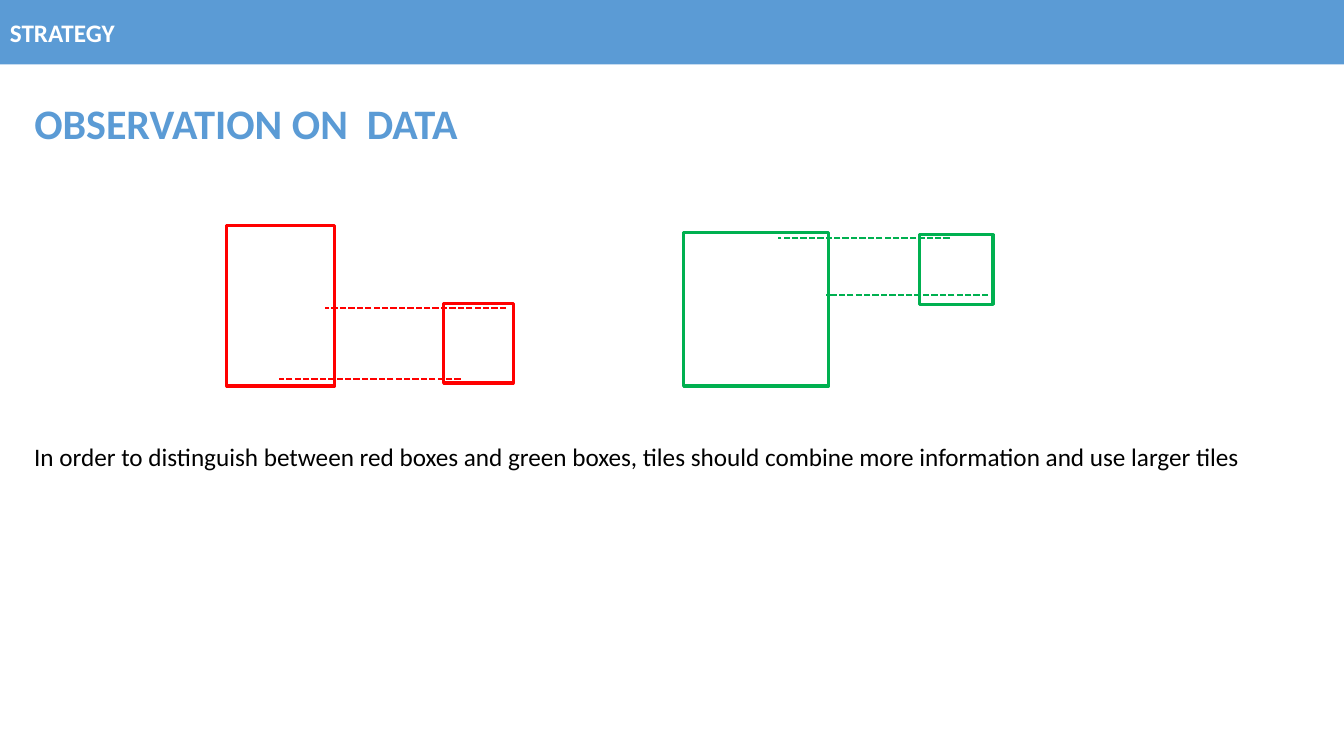
from dataclasses import dataclass

from lxml.etree import SubElement
from pptx import Presentation
from pptx.dml.color import RGBColor
from pptx.enum.dml import MSO_LINE
from pptx.enum.shapes import MSO_CONNECTOR, MSO_SHAPE
from pptx.enum.text import MSO_ANCHOR, MSO_AUTO_SIZE, PP_ALIGN
from pptx.oxml.ns import qn
from pptx.util import Emu, Pt

PX = 9144


@dataclass(frozen=True)
class Theme:
    font: str = "Calibri"
    blue: str = "5B9BD5"
    white: str = "FFFFFF"
    black: str = "000000"
    red: str = "FF0000"
    green: str = "00B050"
    heading: int = 30
    body: int = 18
    box_line: float = 2.25
    guide_line: float = 1.5


def px(*lengths):
    return [Emu(length * PX) for length in lengths]


def assign(target, values):
    for name, value in values.items():
        setattr(target, name, value)


class SlideBuilder:
    def __init__(self, slide, theme):
        self.slide = slide
        self.theme = theme

    def set_wording(self, frame, wording, size, color, bold, **frame_format):
        assign(frame, {"text": wording, "vertical_anchor": MSO_ANCHOR.TOP,
                       "word_wrap": True, **frame_format})
        paragraph = frame.paragraphs[0]
        paragraph.alignment = PP_ALIGN.LEFT
        assign(paragraph.font, {"name": self.theme.font, "size": Pt(size), "bold": bold})
        paragraph.font.color.rgb = RGBColor.from_string(color)

    def rectangle(self, bounds):
        rectangle = self.slide.shapes.add_shape(MSO_SHAPE.RECTANGLE, *px(*bounds))
        rectangle.shadow.inherit = False
        return rectangle

    def banner(self, wording, bounds):
        banner = self.rectangle(bounds)
        banner.fill.solid()
        banner.fill.fore_color.rgb = RGBColor.from_string(self.theme.blue)
        banner.line.fill.background()
        self.set_wording(banner.text_frame, wording, self.theme.body, self.theme.white, True,
                         vertical_anchor=MSO_ANCHOR.MIDDLE)

    def heading(self, wording, bounds):
        heading = self.slide.shapes.title
        assign(heading, dict(zip(("left", "top", "width", "height"), px(*bounds))))
        self.set_wording(heading.text_frame, wording, self.theme.heading, self.theme.blue, True,
                         auto_size=MSO_AUTO_SIZE.SHAPE_TO_FIT_TEXT)

    def statement(self, wording, bounds):
        statement = self.slide.shapes.add_textbox(*px(*bounds))
        self.set_wording(statement.text_frame, wording, self.theme.body, self.theme.black, False,
                         word_wrap=False, auto_size=MSO_AUTO_SIZE.SHAPE_TO_FIT_TEXT)

    def box(self, bounds, color):
        box = self.rectangle(bounds)
        box.fill.background()
        box.line.color.rgb = RGBColor.from_string(color)
        box.line.width = Pt(self.theme.box_line)

    def guide(self, start, end, height, color):
        guide = self.slide.shapes.add_connector(
            MSO_CONNECTOR.STRAIGHT, *px(start, height, end, height))
        guide.line.color.rgb = RGBColor.from_string(color)
        assign(guide.line, {"width": Pt(self.theme.guide_line),
                            "dash_style": MSO_LINE.SQUARE_DOT})
        SubElement(guide._element.spPr, qn("a:effectLst"))


def main():
    presentation = Presentation()
    assign(presentation, dict(zip(("slide_width", "slide_height"), px(1333, 750))))
    theme = Theme()
    builder = SlideBuilder(
        presentation.slides.add_slide(presentation.slide_layouts[5]), theme)

    builder.banner("STRATEGY", (0, 0, 1333, 64))
    builder.heading("OBSERVATION ON  DATA", (24, 92, 523, 61))
    builder.statement(
        "In order to distinguish between red boxes and green boxes, "
        "tiles should combine more information and use larger tiles",
        (24, 433, 1240, 40))

    tile_boxes = (
        ((440, 301, 69, 79), theme.red),
        ((912, 233, 73, 69), theme.green),
        ((225, 224, 107, 159), theme.red),
        ((678, 231, 144, 152), theme.green),
    )
    for bounds, color in tile_boxes:
        builder.box(bounds, color)

    alignment_guides = (
        (457, 277, 376, theme.red),
        (502, 322, 306, theme.red),
        (942, 772, 236, theme.green),
        (980, 819, 293, theme.green),
    )
    for start, end, height, color in alignment_guides:
        builder.guide(start, end, height, color)

    presentation.save("out.pptx")


if __name__ == "__main__":
    main()
